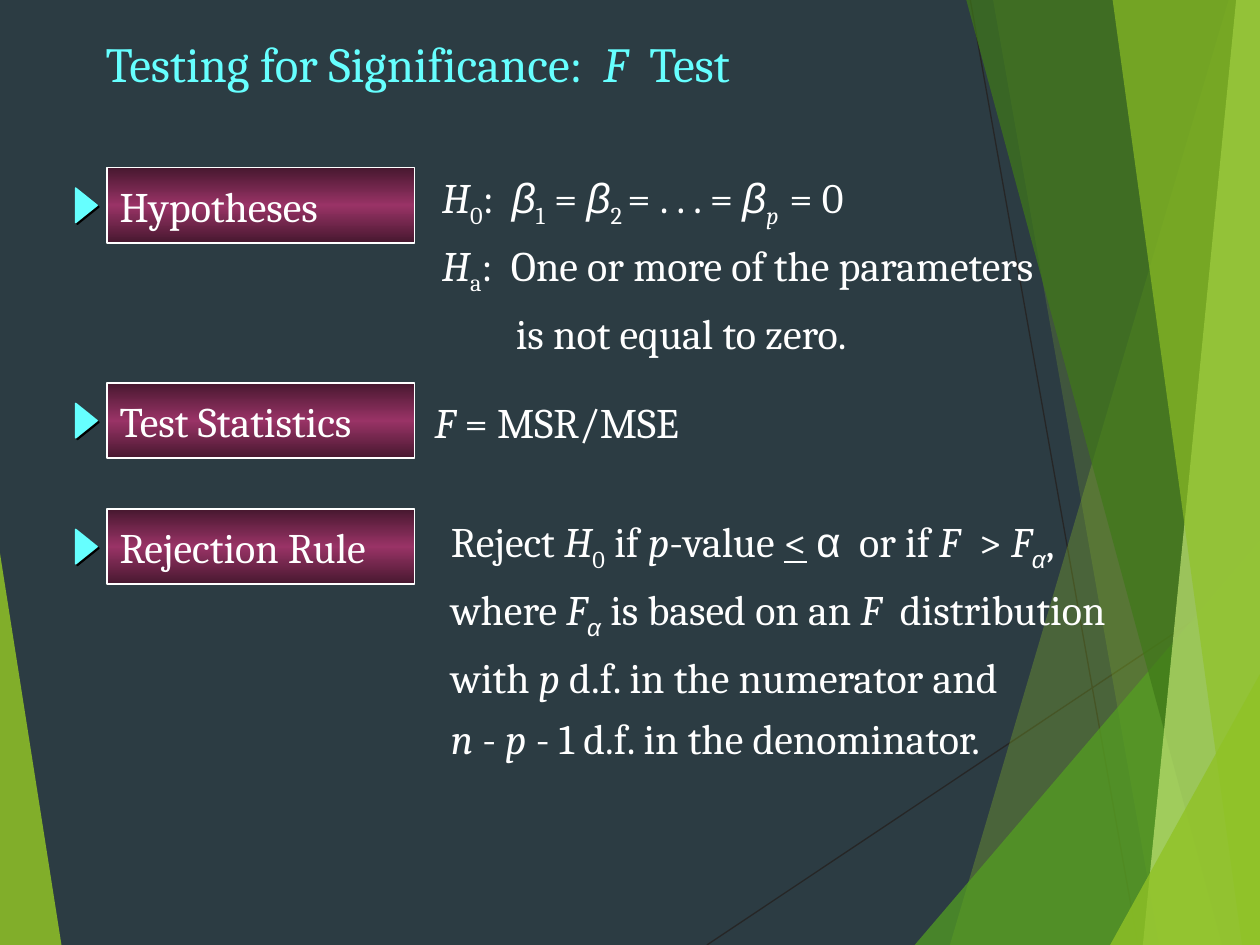
from dataclasses import dataclass
from copy import deepcopy

from lxml import etree
from pptx import Presentation
from pptx.dml.color import RGBColor
from pptx.enum import shapes, text
from pptx.oxml.ns import qn
from pptx.util import Cm, Pt


@dataclass(frozen=True)
class Theme:
    """Colours, fonts and type sizes of the slide."""
    back: str = "2C3C43"
    accent: str = "66FFFF"
    body: str = "FFFFFF"
    hairline: str = "262626"
    shadow: str = "000000"
    lime: str = "90C226"
    green: str = "54A021"
    forest: str = "3F7819"
    pale: str = "C0E474"
    plum: tuple = ("47182F", "993366", "47182F")
    font: str = "Cambria"
    greek: str = "Arial"
    title_size: int = 28
    body_size: int = 24


T = Theme()
W, H = 25.4, 19.05
LABEL_W, LABEL_H = 6.2, 1.52

RAYS = [(14.25, H, W, 11.61), (19.56, 0, 22.94, H)]

FACETS = [
    (0, 11.15, 1.24, 0, T.lime, 85),
    (24.77, 0, 19.15, W, T.lime, 30),
    (20.02, 0, 23.37, W, T.lime, 20),
    (W, 10.9, 18.44, W, T.green, 72),
    (19.48, 0, 24.64, W, T.forest, 70),
    (24.92, 0, 23.04, W, T.pale, 70),
    (22.43, 0, 25.04, W, T.lime, 65),
    (W, 13.59, 22.38, W, T.lime, 80),
]

TITLE = [[("Testing for Significance:  ", ""), ("F ", "i"), (" Test", "")]]

HYPOTHESES = [
    [("H", "i"), ("0", "s"), (":  ", ""), ("β", "gi"), ("1", "s"), (" = ", ""),
     ("β", "gi"), ("2 ", "s"), ("= . . . = ", ""), ("β", "gi"), ("p  ", "is"),
     ("= 0", "")],
    [("H", "i"), ("a", "s"), (":  One or more of the parameters", "")],
    [("is not equal to zero.", "")],
]

STATISTIC = [[("F", "i"), (" = MSR/MSE", "")]]

REJECTION = [
    [("Reject ", ""), ("H", "i"), ("0", "s"), (" if ", ""), ("p", "i"),
     ("-value ", ""), ("<", "u"), (" ", ""), ("α", "g"), ("  or if ", ""),
     ("F", "i"), ("  > ", ""), ("F", "i"), ("α", "gis"), (",", "")],
    [("where ", ""), ("F", "i"), ("α", "gis"), (" is based on an ", ""),
     ("F", "i"), ("  distribution", "")],
    [("with ", ""), ("p", "i"), (" d.f. in the numerator and", "")],
    [("n", "i"), (" - ", ""), ("p", "i"), (" - 1 d.f. in the denominator.", "")],
]

ROWS = [
    ("Hypotheses", 3.38, HYPOTHESES, (8.66, 3.28, 14.22, 4.11), {2: 1.49}),
    ("Test Statistics", 7.72, STATISTIC, (8.51, 7.67, 6.45, 1.65), {}),
    ("Rejection Rule", 10.26, REJECTION, (8.84, 10.54, 14.71, 4.7), {}),
]


def rgb(code):
    """Return the colour for a hex code."""
    return RGBColor.from_string(code)


def write(sp, lines, size, color, before=0, indents=None):
    """Fill a shape with styled lines: i italic, s subscript, u underline, g Greek."""
    tf = sp.text_frame
    tf.word_wrap = True
    tf.vertical_anchor = text.MSO_ANCHOR.MIDDLE
    for n, line in enumerate(lines):
        p = tf.add_paragraph() if n else tf.paragraphs[0]
        p.alignment = text.PP_ALIGN.LEFT
        p.space_before = Pt(before)
        p.font.size = Pt(size)
        p.font.name = T.font
        p.font.color.rgb = rgb(color)
        if indents and n in indents:
            p._p.get_or_add_pPr().set("marL", str(Cm(indents[n])))
        for words, style in line:
            r = p.add_run()
            r.text = words
            if "i" in style:
                r.font.italic = True
            if "u" in style:
                r.font.underline = True
            if "g" in style:
                r.font.name = T.greek
            if "s" in style:
                r._r.get_or_add_rPr().set("baseline", "-25000")


def add_text(s, box, lines, size, color, before=0, indents=None):
    """Place a text box in the given box."""
    sp = s.shapes.add_textbox(*map(Cm, box))
    write(sp, lines, size, color, before, indents)


def add_backdrop(s):
    """Draw the background, thin rays and translucent facets."""
    s.background.fill.solid()
    s.background.fill.fore_color.rgb = rgb(T.back)
    for ray in RAYS:
        line = s.shapes.add_connector(shapes.MSO_CONNECTOR.STRAIGHT, *map(Cm, ray))
        line.line.color.rgb = rgb(T.hairline)
        line.line.width = Pt(0.75)
        etree.SubElement(line._element.spPr, qn("a:effectLst"))
    for x, y, foot, side, color, alpha in FACETS:
        fb = s.shapes.build_freeform(Cm(x), Cm(y))
        corners = [(foot, H), (side, H), (side, y)]
        fb.add_line_segments([(Cm(a), Cm(b)) for a, b in corners])
        sp = fb.convert_to_shape()
        sp.shadow.inherit = False
        sp.line.fill.background()
        sp.fill.solid()
        sp.fill.fore_color.rgb = rgb(color)
        clr = sp._element.spPr.find(".//" + qn("a:srgbClr"))
        etree.SubElement(clr, qn("a:alpha"), val=str(alpha * 1000))


def add_marker(s, x, y):
    """Place a right-pointing triangle with a hard shadow, centred on a point."""
    w, h = 0.69, 0.43
    sp = s.shapes.add_shape(shapes.MSO_SHAPE.ISOSCELES_TRIANGLE,
                            Cm(x - w / 2), Cm(y - h / 2), Cm(w), Cm(h))
    sp.rotation = 90
    sp.fill.solid()
    sp.fill.fore_color.rgb = rgb(T.accent)
    sp.line.color.rgb = rgb(T.accent)
    sp.line.width = Pt(1)
    sp.shadow.inherit = False
    effects = sp._element.spPr.find(qn("a:effectLst"))
    shadow = etree.SubElement(effects, qn("a:outerShdw"), dist=str(Pt(1.4)),
                              dir="2700000", algn="ctr", rotWithShape="0")
    etree.SubElement(shadow, qn("a:srgbClr"), val=T.shadow)


def add_label(s, x, y, words):
    """Place a plum gradient label with its marker to the left."""
    sp = s.shapes.add_shape(shapes.MSO_SHAPE.RECTANGLE,
                            Cm(x), Cm(y), Cm(LABEL_W), Cm(LABEL_H))
    sp.shadow.inherit = False
    sp.line.color.rgb = rgb(T.body)
    sp.line.width = Pt(1)
    sp.fill.gradient()
    sp.fill.gradient_angle = 90
    stops = sp._element.spPr.find(".//" + qn("a:gsLst"))
    stops.append(deepcopy(stops[0]))
    for n, (stop, color) in enumerate(zip(sp.fill.gradient_stops, T.plum)):
        stop.position = n / 2
        stop.color.rgb = rgb(color)
    write(sp, [[(words, "")]], T.body_size, T.body)
    add_marker(s, x - 0.42, y + LABEL_H / 2)


def main():
    """Build and save the slide."""
    prs = Presentation()
    prs.slide_width, prs.slide_height = Cm(W), Cm(H)
    s = prs.slides.add_slide(prs.slide_layouts[6])
    add_backdrop(s)
    add_text(s, (1.88, 0.33, 21.59, 1.88), TITLE, T.title_size, T.accent)
    for label, top, lines, box, indents in ROWS:
        add_label(s, 2.16, top, label)
        before = 6 if len(lines) > 1 else 0
        add_text(s, box, lines, T.body_size, T.body, before, indents)
    prs.save("out.pptx")


if __name__ == "__main__":
    main()
